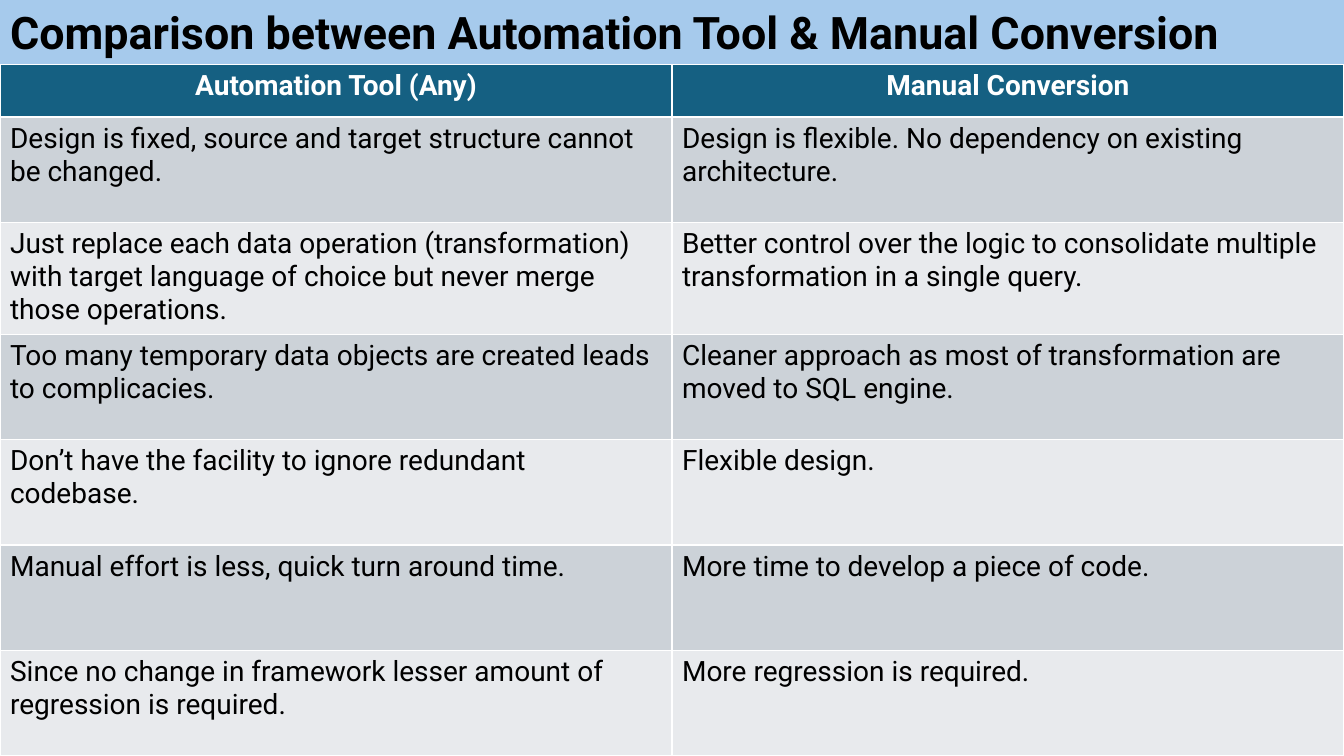
"""Build a slide comparing an automation tool with manual conversion."""
from pptx import Presentation
from pptx.dml.color import RGBColor
from pptx.enum.text import MSO_ANCHOR, MSO_AUTO_SIZE, PP_ALIGN
from pptx.util import Pt

WIDTH, HEIGHT = 960, 540
TITLE_HEIGHT = 46.1
HEADER_HEIGHT, ROW_HEIGHT, TALL_ROW_HEIGHT = 37.5, 75.25, 80.1
HEADER_FILL = "156082"
BAND_FILLS = ["E8EAED", "CCD2D8"]
ROWS = [
    ("Automation Tool (Any)", "Manual Conversion"),
    ("Design is fixed, source and target structure cannot be changed.",
     "Design is flexible. No dependency on existing architecture."),
    ("Just replace each data operation (transformation) with target language "
     "of choice but never merge those operations.",
     "Better control over the logic to consolidate multiple transformation "
     "in a single query."),
    ("Too many temporary data objects are created leads to complicacies.",
     "Cleaner approach as most of transformation are moved to SQL engine."),
    ("Don’t have the facility to ignore redundant codebase.",
     "Flexible design."),
    ("Manual effort is less, quick turn around time.",
     "More time to develop a piece of code."),
    ("Since no change in framework lesser amount of regression is required.",
     "More regression is required."),
]


def paint(fill, color):
    fill.solid()
    fill.fore_color.rgb = RGBColor.from_string(color)


def style(para, size, color, bold, align):
    para.alignment = align
    para.font.name = "Roboto"
    para.font.size = Pt(size)
    para.font.bold = bold
    para.font.color.rgb = RGBColor.from_string(color)


deck = Presentation()
deck.slide_width, deck.slide_height = Pt(WIDTH), Pt(HEIGHT)
page = deck.slides.add_slide(deck.slide_layouts[5])

title = page.shapes.title
title.left, title.top = Pt(0), Pt(0)
title.width, title.height = Pt(WIDTH), Pt(TITLE_HEIGHT)
paint(title.fill, "A6CAEC")
title.text_frame.text = "Comparison between Automation Tool & Manual Conversion"
title.text_frame.auto_size = MSO_AUTO_SIZE.NONE
title.text_frame.vertical_anchor = MSO_ANCHOR.TOP
style(title.text_frame.paragraphs[0], 32, "000000", True, PP_ALIGN.LEFT)

table = page.shapes.add_table(
    len(ROWS), 2, Pt(0), Pt(TITLE_HEIGHT), Pt(WIDTH), Pt(HEIGHT - TITLE_HEIGHT)
).table
for column in table.columns:
    column.width = Pt(WIDTH / 2)

for index, texts in enumerate(ROWS):
    header = index == 0
    heights = {0: HEADER_HEIGHT, 2: TALL_ROW_HEIGHT}
    table.rows[index].height = Pt(heights.get(index, ROW_HEIGHT))
    for cell, text in zip(table.rows[index].cells, texts):
        cell.text = text
        paint(cell.fill, HEADER_FILL if header else BAND_FILLS[index % 2])
        style(cell.text_frame.paragraphs[0], 20,
              "FFFFFF" if header else "000000", header,
              PP_ALIGN.CENTER if header else PP_ALIGN.LEFT)

deck.save("out.pptx")
